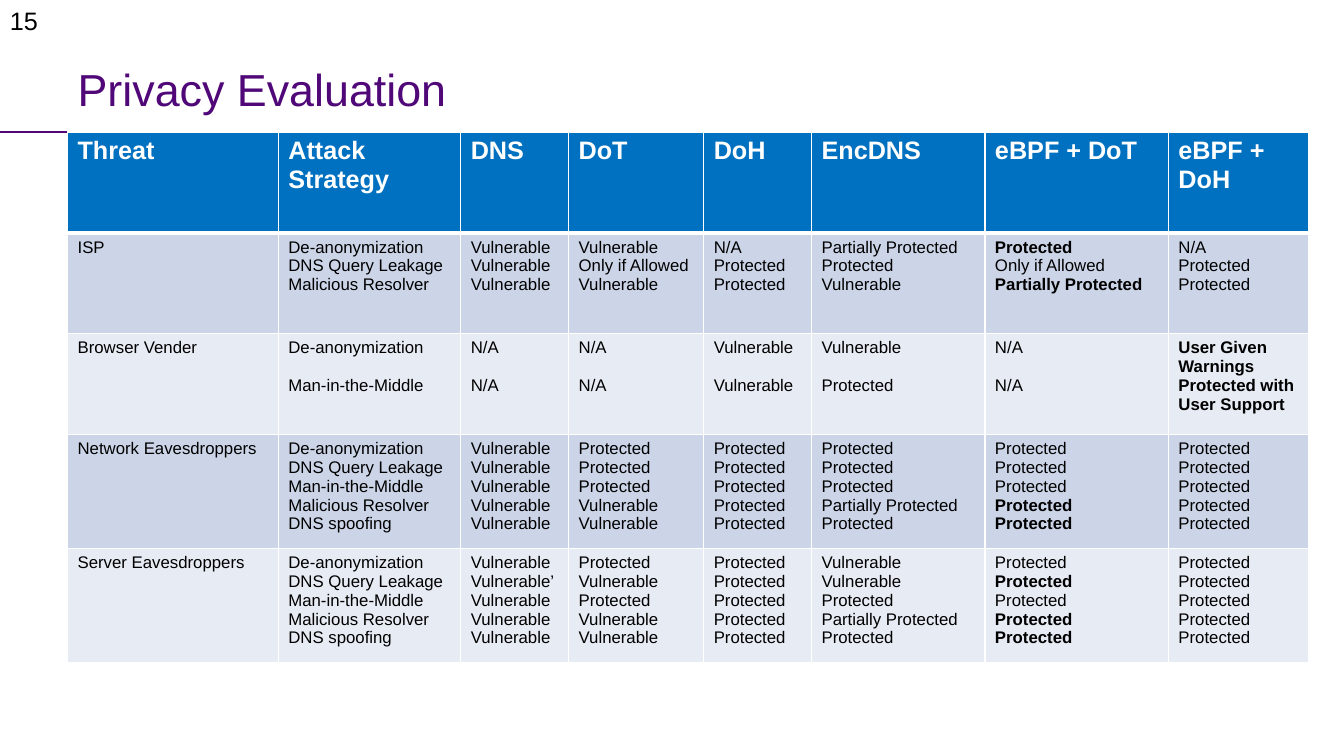
from lxml import etree
from pptx import Presentation
from pptx.dml.color import RGBColor
from pptx.enum import shapes, text
from pptx.oxml import ns
from pptx.util import Inches, Pt

PURPLE = RGBColor(0x50, 0x07, 0x78)
BLUE = RGBColor(0x00, 0x70, 0xC0)
BAND_DARK = RGBColor(0xCC, 0xD5, 0xE8)
BAND_LIGHT = RGBColor(0xE7, 0xEB, 0xF4)
WHITE = RGBColor(0xFF, 0xFF, 0xFF)
BLACK = RGBColor(0, 0, 0)
FONT = "Arial"


def style_font(para, size, color, bold=False):
    para.font.name = FONT
    para.font.size = Pt(size)
    para.font.bold = bold
    para.font.color.rgb = color


def add_border(cell, side, width):
    line = etree.SubElement(cell._tc.get_or_add_tcPr(), ns.qn(f"a:{side}"), w=str(Pt(width)))
    fill = etree.SubElement(line, ns.qn("a:solidFill"))
    etree.SubElement(fill, ns.qn("a:srgbClr"), val=str(WHITE))


deck = Presentation()
deck.slide_width, deck.slide_height = Inches(13.33), Inches(7.5)
page = deck.slides.add_slide(deck.slide_layouts[5])

# Page number
number_box = page.shapes.add_textbox(0, 0, Inches(0.65), Inches(0.4))
number_box.text_frame.word_wrap = True
number_box.text_frame.auto_size = text.MSO_AUTO_SIZE.SHAPE_TO_FIT_TEXT
number_box.text_frame.text = "15"
style_font(number_box.text_frame.paragraphs[0], 18, BLACK)

# Rule under the title
rule = page.shapes.add_connector(
    shapes.MSO_CONNECTOR.STRAIGHT, 0, Inches(1.31), Inches(4.25), Inches(1.31))
rule.line.color.rgb = PURPLE
rule.line.width = Pt(1)
etree.SubElement(rule._element.spPr, ns.qn("a:effectLst"))

# Title
title = page.shapes.title
title.left, title.top = Inches(0.67), Inches(0.44)
title.width, title.height = Inches(10.3), Inches(0.87)
title.text_frame.text = "Privacy Evaluation"
title.text_frame.vertical_anchor = text.MSO_ANCHOR.MIDDLE
title.text_frame.paragraphs[0].alignment = text.PP_ALIGN.LEFT
style_font(title.text_frame.paragraphs[0], 32, PURPLE)

# Table content: "|" separates paragraphs, a leading "*" marks bold
V, P = "Vulnerable", "Protected"
PARTLY, ALLOWED = "Partially Protected", "Only if Allowed"
ALL_PROTECTED = "|".join([P] * 5)
ALL_ATTACKS = ("De-anonymization|DNS Query Leakage|Man-in-the-Middle|"
               "Malicious Resolver|DNS spoofing")
rows = [
    ["Threat", "Attack Strategy", "DNS", "DoT", "DoH", "EncDNS", "eBPF + DoT", "eBPF + DoH"],
    ["ISP", "De-anonymization|DNS Query Leakage|Malicious Resolver",
     f"{V}|{V}|{V}", f"{V}|{ALLOWED}|{V}", f"N/A|{P}|{P}", f"{PARTLY}|{P}|{V}",
     f"*{P}|{ALLOWED}|*{PARTLY}", f"N/A|{P}|{P}"],
    ["Browser Vender", "De-anonymization|Man-in-the-Middle",
     "N/A|N/A", "N/A|N/A", f"{V}|{V}", f"{V}|{P}", "N/A|N/A",
     "*User Given Warnings|*Protected with User Support"],
    ["Network Eavesdroppers", ALL_ATTACKS,
     f"{V}|{V}|{V}|{V}|{V}", f"{P}|{P}|{P}|{V}|{V}", ALL_PROTECTED,
     f"{P}|{P}|{P}|{PARTLY}|{P}", f"{P}|{P}|{P}|*{P}|*{P}", ALL_PROTECTED],
    ["Server Eavesdroppers", ALL_ATTACKS,
     f"{V}|{V}’|{V}|{V}|{V}", f"{P}|{V}|{P}|{V}|{V}", ALL_PROTECTED,
     f"{V}|{V}|{P}|{PARTLY}|{P}", f"{P}|*{P}|{P}|*{P}|*{P}", ALL_PROTECTED],
]
column_widths = [2.09, 1.81, 1.07, 1.34, 1.07, 1.72, 1.82, 1.39]
row_heights = [1, 1, 1, 1.13, 1.13]
BROWSER_ROW, LAST_COLUMN = 2, len(column_widths) - 1

# Table
table = page.shapes.add_table(
    len(rows), len(column_widths), Inches(0.67), Inches(1.31),
    Inches(sum(column_widths)), Inches(sum(row_heights))).table
for column, width in zip(table.columns, column_widths):
    column.width = Inches(width)
for row, height in zip(table.rows, row_heights):
    row.height = Inches(height)

for r, row in enumerate(rows):
    header = r == 0
    for c, content in enumerate(row):
        cell = table.cell(r, c)
        for side in ("lnL", "lnR", "lnT", "lnB"):
            thick = (r, side) in ((0, "lnB"), (1, "lnT"))
            add_border(cell, side, 3 if thick else 1)
        cell.fill.solid()
        cell.fill.fore_color.rgb = BLUE if header else BAND_DARK if r % 2 else BAND_LIGHT
        lines = content.split("|")
        cell.text_frame.text = "\n".join(line.lstrip("*") for line in lines)
        for i, (para, line) in enumerate(zip(cell.text_frame.paragraphs, lines)):
            style_font(para, 18 if header else 12, WHITE if header else BLACK,
                       header or line.startswith("*"))
            # Line up with the two-line entries in the last column
            if r == BROWSER_ROW and i == 1 and c < LAST_COLUMN:
                para.space_before = Pt(13.5)

deck.save("out.pptx")
